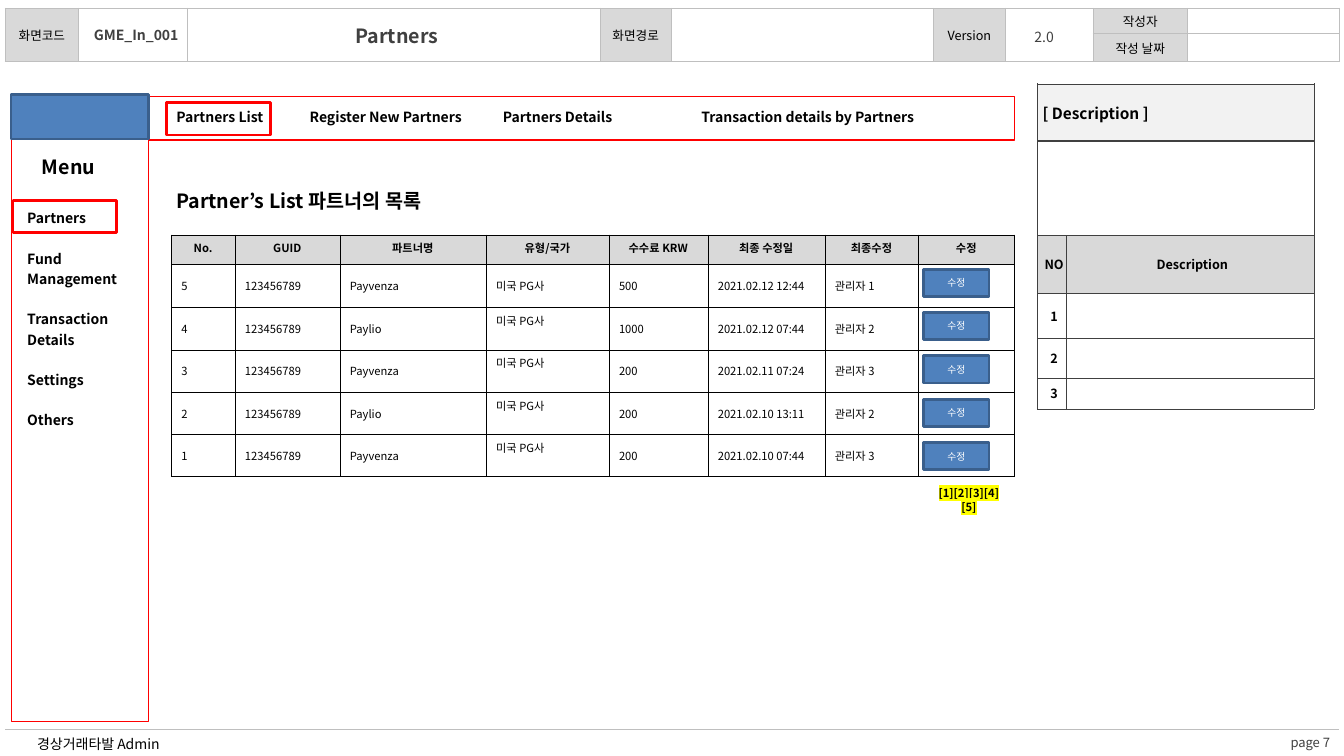
from lxml import etree
from pptx import Presentation
from pptx.dml.color import RGBColor
from pptx.enum import shapes, text
from pptx.oxml import ns
from pptx.util import Inches, Pt

FONT = "Noto Sans CJK KR"
BLACK = RGBColor(0, 0, 0)
WHITE = RGBColor(255, 255, 255)
RED = RGBColor(255, 0, 0)
DARK = RGBColor(0x40, 0x40, 0x40)
SILVER = RGBColor(0xBF, 0xBF, 0xBF)
GRAY = RGBColor(0xD9, 0xD9, 0xD9)
PALE = RGBColor(0xF2, 0xF2, 0xF2)
BLUE = RGBColor(0x4F, 0x81, 0xBD)
NAVY = RGBColor(0x3A, 0x5F, 0x8C)
YELLOW = RGBColor(255, 255, 0)
MID = text.MSO_ANCHOR.MIDDLE
TOP = text.MSO_ANCHOR.TOP
LEFT = text.PP_ALIGN.LEFT
MAIN = text.PP_ALIGN.CENTER
SLIM = (0.01, 0.01, 0.01, 0)
NOTE = (0.05, 0, 0, 0)
PAD = (0.1, 0.05, 0.1, 0.05)
HEAD = (0, 0.05, 0.1, 0.05)

NAV = ["Partners List", "Register New Partners", "Partners Details",
       "Transaction details by Partners"]
MENU = ["Partners", "Fund Management", "Transaction Details", "Settings", "Others"]
TITLES = ["No.", "GUID", "파트너명", "유형/국가", "수수료 KRW", "최종 수정일",
          "최종수정", "수정"]
ROWS = [
    ("5", "Payvenza", "500", "2021.02.12 12:44", "관리자 1"),
    ("4", "Paylio", "1000", "2021.02.12 07:44", "관리자 2"),
    ("3", "Payvenza", "200", "2021.02.11 07:24", "관리자 3"),
    ("2", "Paylio", "200", "2021.02.10 13:11", "관리자 2"),
    ("1", "Payvenza", "200", "2021.02.10 07:44", "관리자 3"),
]


def write(par, words, size, color=BLACK, bold=False, align=MAIN, mark=None):
    """Add one styled run to a paragraph."""
    par.alignment = align
    run = par.add_run()
    run.text = words
    font = run.font
    font.size, font.bold, font.name = Pt(size), bold, FONT
    font.color.rgb = color
    props = run._r.get_or_add_rPr()
    etree.SubElement(props, ns.qn("a:ea")).set("typeface", FONT)
    if mark is not None:
        light = etree.Element(ns.qn("a:highlight"))
        etree.SubElement(light, ns.qn("a:srgbClr")).set("val", str(mark))
        props.find(ns.qn("a:solidFill")).addnext(light)


def inset(item, pad):
    """Set the four margins of a cell or text frame."""
    (item.margin_left, item.margin_top,
     item.margin_right, item.margin_bottom) = map(Inches, pad)


def label(slide, box, words, size, pad=PAD, wrap=True, anchor=TOP, **style):
    """Add a text box with one line of text."""
    frame = slide.shapes.add_textbox(*map(Inches, box)).text_frame
    frame.word_wrap = wrap
    frame.vertical_anchor = anchor
    inset(frame, pad)
    write(frame.paragraphs[0], words, size, **style)


def rect(slide, box, fill, line, width, words=""):
    """Add a rectangle, open when fill is None."""
    shape = slide.shapes.add_shape(shapes.MSO_SHAPE.RECTANGLE, *map(Inches, box))
    shape.shadow.inherit = False
    if fill is None:
        shape.fill.background()
    else:
        shape.fill.solid()
        shape.fill.fore_color.rgb = fill
    shape.line.color.rgb = line
    shape.line.width = Pt(width)
    if words:
        shape.text_frame.vertical_anchor = MID
        write(shape.text_frame.paragraphs[0], words, 7, WHITE)


def border(cell, color, widths):
    """Draw left, right, top and bottom cell edges; zero hides one."""
    props = cell._tc.get_or_add_tcPr()
    for old in props.xpath("a:lnL|a:lnR|a:lnT|a:lnB"):
        props.remove(old)
    for spot, (side, width) in enumerate(zip("LRTB", widths)):
        line = etree.Element(ns.qn("a:ln" + side))
        if width:
            line.set("w", str(Pt(width)))
            paint = etree.SubElement(line, ns.qn("a:solidFill"))
            etree.SubElement(paint, ns.qn("a:srgbClr")).set("val", str(color))
        else:
            etree.SubElement(line, ns.qn("a:noFill"))
        props.insert(spot, line)


def grid(slide, left, top, cols, rows, fill=None, color=BLACK, width=0.25):
    """Add a plain table with even borders."""
    frame = slide.shapes.add_table(len(rows), len(cols), Inches(left), Inches(top),
                                   Inches(sum(cols)), Inches(sum(rows)))
    table = frame.table
    table.first_row = table.horz_banding = False
    for col, size in zip(table.columns, cols):
        col.width = Inches(size)
    for row, size in zip(table.rows, rows):
        row.height = Inches(size)
    for cell in table.iter_cells():
        shade(cell, fill)
        border(cell, color, [width] * 4)
        cell.text_frame.paragraphs[0]._p.get_or_add_endParaRPr().set("sz", "800")
    return table


def shade(cell, fill):
    """Fill a cell, or clear it when fill is None."""
    if fill is None:
        cell.fill.background()
    else:
        cell.fill.solid()
        cell.fill.fore_color.rgb = fill


def put(cell, words, size, fill=None, pad=PAD, anchor=MID, **style):
    """Write text in a cell."""
    shade(cell, fill)
    cell.vertical_anchor = anchor
    inset(cell, pad)
    write(cell.text_frame.paragraphs[0], words, size, **style)


def frame(slide):
    """Add the page header grid and footer."""
    label(slide, (12.47, 7.23, 1.05, 0.26), "page 7", 9.3, color=DARK, anchor=MID)
    table = grid(slide, 0.05, 0.08, [0.73, 1.08, 4.09, 0.71, 2.6, 0.71, 0.87, 0.94, 1.5],
                 [0.25, 0.28, 6.62], color=SILVER)
    for col in range(7):
        table.cell(0, col).merge(table.cell(1, col))
    for col in range(9):
        border(table.cell(2, col), SILVER, (0, 0, 0.25, 0.25))
    table.cell(2, 0).merge(table.cell(2, 8))
    for row, col, words in [(0, 0, "화면코드"), (0, 3, "화면경로"), (0, 5, "Version"),
                            (0, 7, "작성자"), (1, 7, "작성 날짜")]:
        put(table.cell(row, col), words, 9, GRAY, SLIM)
    label(slide, (0.27, 7.25, 12.69, 0.25), "경상거래타발 Admin", 10, anchor=MID, align=LEFT)


def notes(slide):
    """Add the description table on the right."""
    table = grid(slide, 10.29, 0.83, [0.28, 2.46], [0.57, 0.94, 0.57, 0.45, 0.39, 0.31],
                 color=DARK)
    for row, edge in enumerate([(0.25, 1), (1, 1), (1, 0.25)]):
        for col in range(2):
            border(table.cell(row, col), DARK, (0.25, 0.25) + edge)
    for row in range(2):
        table.cell(row, 0).merge(table.cell(row, 1))
    put(table.cell(0, 0), "[ Description ]", 11, PALE, NOTE, bold=True, align=LEFT)
    shade(table.cell(1, 0), WHITE)
    put(table.cell(2, 1), "Description", 9, GRAY, NOTE, bold=True)
    for row, words in enumerate(["NO", "1", "2", "3"], 2):
        put(table.cell(row, 0), words, 9, GRAY if row == 2 else None, NOTE, bold=True)


def partners(slide):
    """Add the partner table."""
    table = grid(slide, 1.7, 2.33, [0.63, 1.04, 1.45, 1.22, 0.98, 1.16, 0.93, 0.95],
                 [0.29, 0.43] + [0.42] * 4, WHITE)
    for col, words in enumerate(TITLES):
        put(table.cell(0, col), words, 8, GRAY, anchor=TOP, bold=True)
    for row, (num, name, fee, date, user) in enumerate(ROWS, 1):
        for col, words in enumerate([num, "123456789", name, "미국 PG사", fee, date, user]):
            high = col == 3 and row > 1
            put(table.cell(row, col), words, 8, WHITE, anchor=TOP if high else MID, align=LEFT)


def menu(slide):
    """Add the side menu entries."""
    table = grid(slide, 0.17, 1.75, [1.14], [0.26, 2.44], WHITE, width=0)
    cell = table.cell(1, 0)
    put(cell, MENU[0], 10, WHITE, anchor=TOP, bold=True, align=LEFT)
    for words in MENU[1:]:
        par = cell.text_frame.add_paragraph()
        par.space_before = Pt(14.5)
        write(par, words, 10, bold=True, align=LEFT)


def main():
    """Build the slide and save it."""
    deck = Presentation()
    deck.slide_width, deck.slide_height = Inches(13.33), Inches(7.5)
    slide = deck.slides.add_slide(deck.slide_layouts[6])
    frame(slide)
    notes(slide)
    rect(slide, (0.11, 0.96, 9.95, 0.43), WHITE, RED, 0.75)
    rect(slide, (0.11, 0.96, 1.36, 6.2), WHITE, RED, 0.75)
    label(slide, (1.6, 1.83, 2.73, 0.34), "Partner’s List 파트너의 목록", 14,
          wrap=False, bold=True)
    partners(slide)
    label(slide, (9.17, 4.78, 0.88, 0.42), "[1][2][3][4][5]", 8, bold=True, mark=YELLOW)
    nav = grid(slide, 1.49, 0.98, [1.38, 1.91, 1.5, 3.46], [0.36], WHITE, width=0)
    for col, words in enumerate(NAV):
        put(nav.cell(0, col), words, 10, WHITE, bold=True)
    for row in range(len(ROWS)):
        rect(slide, (9.16, 2.67 + 0.43 * row, 0.65, 0.27), BLUE, NAVY, 2, "수정")
    rect(slide, (0.11, 0.94, 1.36, 0.44), BLUE, NAVY, 2)
    label(slide, (0.78, 0.21, 1.24, 0.27), "GME_In_001", 10, HEAD, color=DARK, bold=True)
    label(slide, (10.05, 0.23, 0.71, 0.27), "2.0", 10, HEAD, color=DARK)
    menu(slide)
    for left, top in [(0.13, 1.99), (1.65, 1.02)]:
        rect(slide, (left, top, 1.03, 0.32), None, RED, 2)
    label(slide, (1.94, 0.19, 4.09, 0.34), "Partners", 14, HEAD, color=DARK, bold=True)
    label(slide, (0.31, 1.49, 0.74, 0.34), "Menu", 14, wrap=False, bold=True)
    deck.save("out.pptx")


if __name__ == "__main__":
    main()
